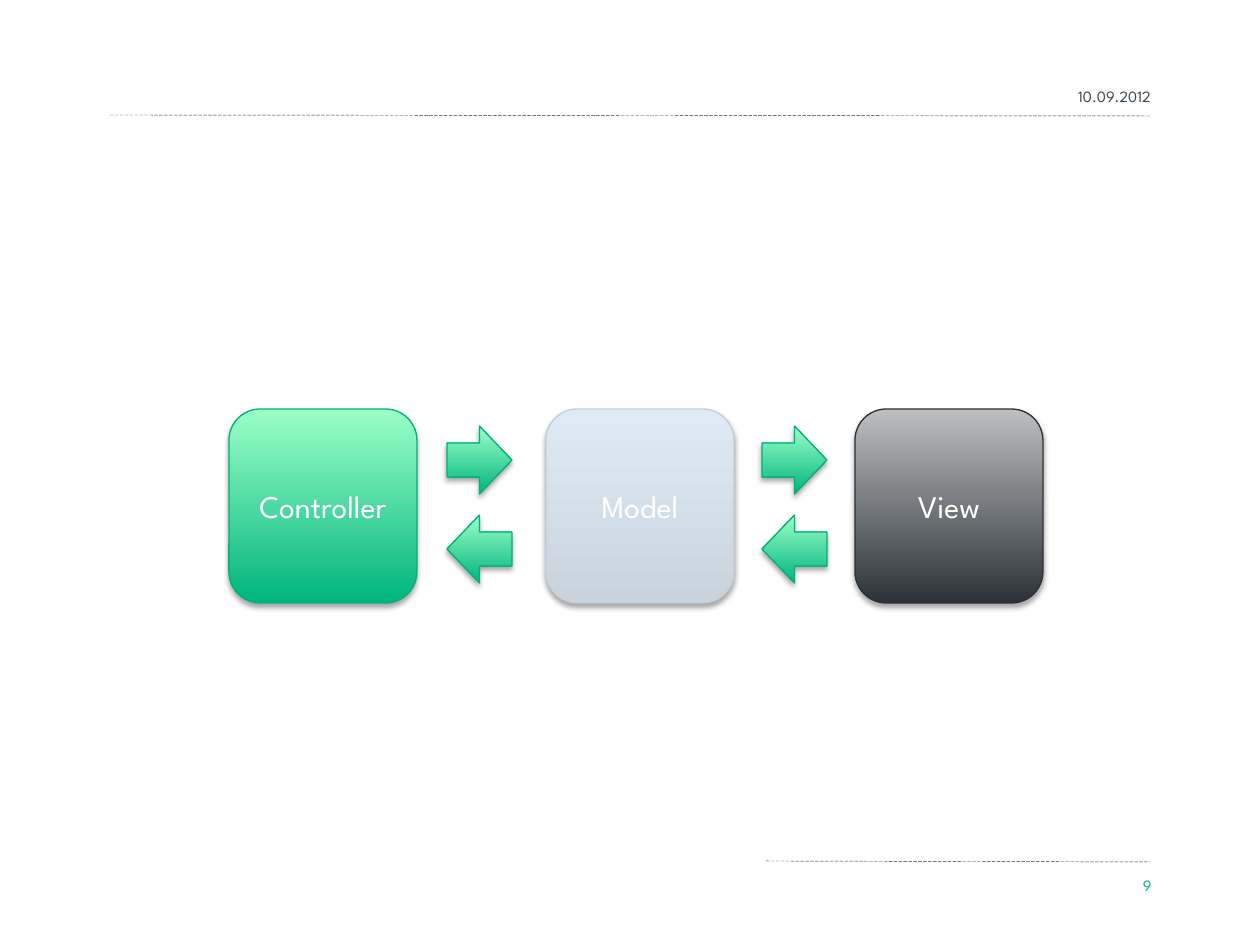
from dataclasses import dataclass

import lxml.etree
import pptx
import pptx.dml.color
import pptx.enum.dml
import pptx.enum.shapes
import pptx.enum.text
import pptx.oxml.ns
import pptx.util

EMU_PER_PX = 914400 / 126
SHAPE = pptx.enum.shapes.MSO_SHAPE
ALIGN = pptx.enum.text.PP_ALIGN
ANCHOR = pptx.enum.text.MSO_ANCHOR


@dataclass(frozen=True)
class Theme:
    font: str = "League Spartan"
    small: int = 9
    label: int = 18
    rule: str = "2D3237"
    date: str = "38454F"
    accent: str = "00B57C"
    on_fill: str = "FFFFFF"
    shadow: str = "000000"
    # Each finish is bottom colour, top colour, outline.
    green: tuple = ("00B57C", "9CFFC8", "00B179")
    pale: tuple = ("C8D3DC", "DEEBF6", "C5CED6")
    dark: tuple = ("2C3238", "BDBFC0", "2C3136")


THEME = Theme()


def px(length):
    return pptx.util.Emu(round(length * EMU_PER_PX))


def rgb(value):
    return pptx.dml.color.RGBColor.from_string(value)


def add_xml(parent, tag, **attributes):
    return lxml.etree.SubElement(parent, pptx.oxml.ns.qn(tag), attributes)


def write_text(holder, text, *, size, color, align, anchor):
    frame = holder.text_frame
    frame.word_wrap = True
    frame.vertical_anchor = anchor
    paragraph = frame.paragraphs[0]
    paragraph.alignment = align
    run = paragraph.add_run()
    run.text = text
    run.font.name = THEME.font
    run.font.size = pptx.util.Pt(size)
    run.font.color.rgb = rgb(color)


def add_rule(slide, left, top, right):
    """Draw a dashed rule that drops one pixel along its length."""
    rule = slide.shapes.add_connector(
        pptx.enum.shapes.MSO_CONNECTOR.STRAIGHT,
        px(left), px(top), px(right), px(top + 1))
    rule.line.color.rgb = rgb(THEME.rule)
    rule.line.width = pptx.util.Pt(0.25)
    rule.line.dash_style = pptx.enum.dml.MSO_LINE.LONG_DASH
    add_xml(rule._element.spPr, "a:effectLst")


def add_glossy(slide, kind, left, top, width, height, finish):
    """Add a shape with a vertical gradient and a soft shadow below it."""
    bottom, upper, outline = finish
    shape = slide.shapes.add_shape(kind, px(left), px(top), px(width), px(height))
    shape.fill.gradient()
    shape.fill.gradient_angle = 90
    for stop, position, color in zip(shape.fill.gradient_stops, (0, 1), (bottom, upper)):
        stop.position = position
        stop.color.rgb = rgb(color)
    shape.line.color.rgb = rgb(outline)
    shape.line.width = pptx.util.Pt(0.75)
    shape.shadow.inherit = False
    effects = shape._element.spPr.find(pptx.oxml.ns.qn("a:effectLst"))
    shadow = add_xml(effects, "a:outerShdw", blurRad=str(pptx.util.Pt(3.1)),
                     dist=str(pptx.util.Pt(1.8)), dir="5400000", rotWithShape="0")
    shade = add_xml(shadow, "a:srgbClr", val=THEME.shadow)
    add_xml(shade, "a:alpha", val="35000")
    return shape


def add_margin_text(slide, text, left, top, width, height, color):
    box = slide.shapes.add_textbox(px(left), px(top), px(width), px(height))
    write_text(box, text, size=THEME.small, color=color,
               align=ALIGN.RIGHT, anchor=ANCHOR.BOTTOM)


def add_header(slide, left, top, right):
    add_rule(slide, left, top + 53, right)
    add_margin_text(slide, "10.09.2012", right - 152, top, 165, 50, THEME.date)


def add_footer(slide, left, top, right):
    add_rule(slide, left, top, right)
    add_margin_text(slide, "9", right - 39, top - 10, 53, 50, THEME.accent)


def add_exchange(slide, left, top):
    """Stack a right arrow over a left arrow."""
    for row, kind in enumerate((SHAPE.RIGHT_ARROW, SHAPE.LEFT_ARROW)):
        add_glossy(slide, kind, left, top + row * 89, 65, 68, THEME.green)


def add_mvc_diagram(slide, left, top):
    components = (("Controller", 0, THEME.green),
                  ("Model", 317, THEME.pale),
                  ("View", 626, THEME.dark))
    for name, offset, finish in components:
        component = add_glossy(slide, SHAPE.ROUNDED_RECTANGLE,
                               left + offset, top, 188, 194, finish)
        write_text(component, name, size=THEME.label, color=THEME.on_fill,
                   align=ALIGN.CENTER, anchor=ANCHOR.MIDDLE)
    for offset in (218, 533):
        add_exchange(slide, left + offset, top + 17)


def main():
    deck = pptx.Presentation()
    deck.slide_width, deck.slide_height = px(1260), px(945)
    slide = deck.slides.add_slide(deck.slide_layouts[6])
    add_header(slide, 110, 62, 1150)
    add_footer(slide, 766, 861, 1150)
    add_mvc_diagram(slide, 229, 409)
    deck.save("out.pptx")


if __name__ == "__main__":
    main()
